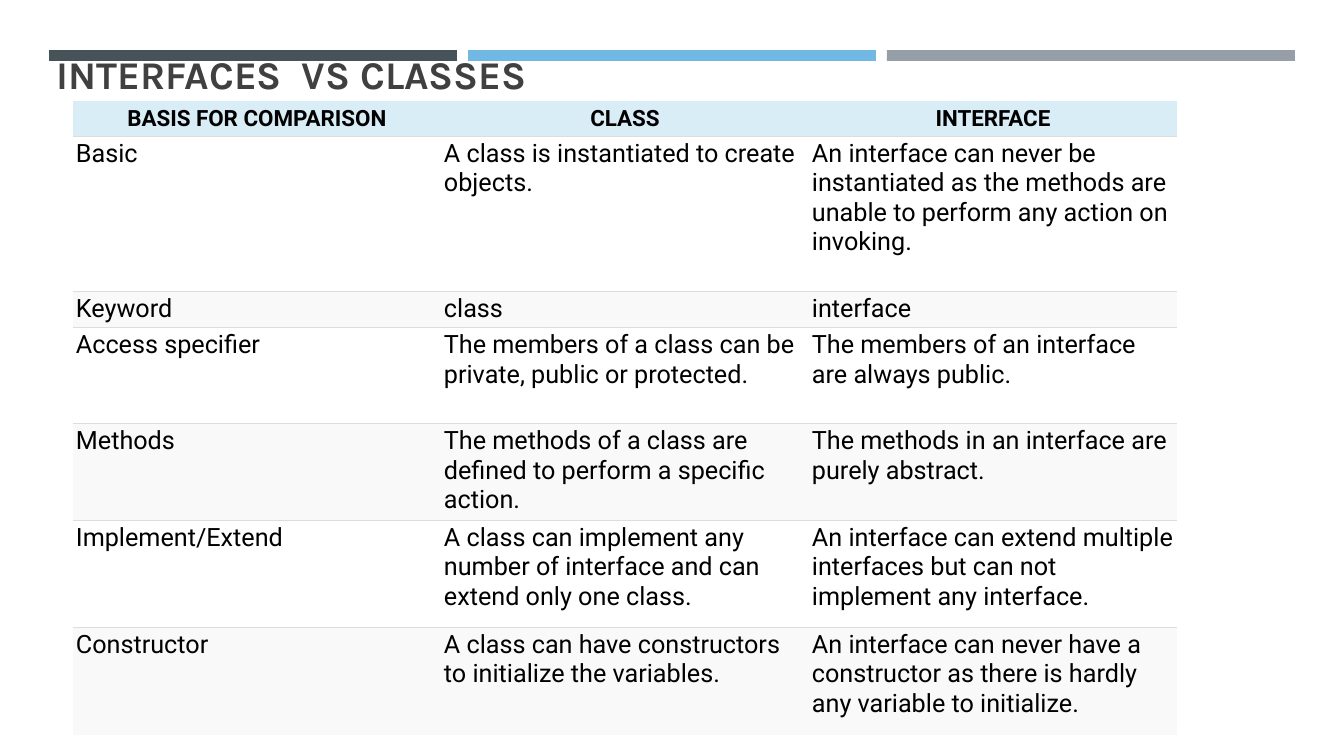
from lxml.etree import SubElement
from pptx import Presentation
from pptx.dml.color import RGBColor
from pptx.enum.shapes import MSO_SHAPE as Shape
from pptx.enum.text import MSO_ANCHOR as Anchor, PP_ALIGN as Align
from pptx.oxml.ns import qn
from pptx.util import Pt

PX = 9071.43
COLORS = {
    "slate": "465359", "sky": "71B9E4", "gray": "969FA7",
    "title": "404040", "text": "000000", "header": "D9EDF7",
    "white": "FFFFFF", "band": "F9F9F9", "rule": "DDDDDD",
}
ROWS = [
    (35, ["BASIS FOR COMPARISON", "CLASS", "INTERFACE"]),
    (155, ["Basic", "A class is instantiated to create objects.",
           "An interface can never be instantiated as the methods are unable to perform any action on invoking."]),
    (36, ["Keyword", "class", "interface"]),
    (96, ["Access specifier", "The members of a class can be private, public or protected.",
          "The members of an interface are always public."]),
    (95, ["Methods", "The methods of a class are defined to perform a specific action.",
          "The methods in an interface are purely abstract."]),
    (107, ["Implement/Extend", "A class can implement any number of interface and can extend only one class.",
           "An interface can extend multiple interfaces but can not implement any interface."]),
    (108, ["Constructor", "A class can have constructors to initialize the variables.",
           "An interface can never have a constructor as there is hardly any variable to initialize."]),
]


def px(*lengths):
    return [round(length * PX) for length in lengths]


def set_font(paragraph, name, size, color, bold):
    font = paragraph.font
    font.name, font.size, font.bold = name, Pt(size), bold
    font.color.rgb = RGBColor.from_string(COLORS[color])


presentation = Presentation()
presentation.slide_width, presentation.slide_height = px(1344, 756)
slide = presentation.slides.add_slide(presentation.slide_layouts[6])

for index, color in enumerate(["slate", "sky", "gray"]):
    bar = slide.shapes.add_shape(Shape.RECTANGLE, *px(49 + 419 * index, 50, 408, 11))
    bar.shadow.inherit = False
    bar.fill.solid()
    bar.fill.fore_color.rgb = RGBColor.from_string(COLORS[color])
    bar.line.fill.background()

title = slide.shapes.add_textbox(*px(47, 8, 1172, 94))
title.text_frame.word_wrap = True
title.text_frame.vertical_anchor = Anchor.BOTTOM
paragraph = title.text_frame.paragraphs[0]
paragraph.text = "INTERFACES  VS CLASSES"
set_font(paragraph, "Karla", 28, "title", True)

height = sum(row_height for row_height, _ in ROWS)
table = slide.shapes.add_table(len(ROWS), 3, *px(73, 101, 1104, height)).table
table.first_row = table.horz_banding = False
for column in table.columns:
    column.width = px(368)[0]

for row, (row_height, texts) in enumerate(ROWS):
    table.rows[row].height = px(row_height)[0]
    header = row == 0
    ruled_sides = {"lnT": row > 0, "lnB": row < len(ROWS) - 1}
    for column, text in enumerate(texts):
        cell = table.cell(row, column)
        cell.margin_left, cell.margin_right, cell.margin_top, cell.margin_bottom = px(3, 3, 3, 3)
        cell.vertical_anchor = Anchor.MIDDLE if header else Anchor.TOP
        properties = cell._tc.get_or_add_tcPr()
        for side in ["lnL", "lnR", "lnT", "lnB"]:
            border = SubElement(properties, qn(f"a:{side}"), w=str(Pt(0.6)))
            if ruled_sides.get(side):
                fill = SubElement(border, qn("a:solidFill"))
                SubElement(fill, qn("a:srgbClr"), val=COLORS["rule"])
            else:
                SubElement(border, qn("a:noFill"))
        cell.fill.solid()
        fill_color = "header" if header else "white" if row % 2 else "band"
        cell.fill.fore_color.rgb = RGBColor.from_string(COLORS[fill_color])
        paragraph = cell.text_frame.paragraphs[0]
        paragraph.text = text
        paragraph.alignment = Align.CENTER if header else Align.LEFT
        set_font(paragraph, "Roboto", 16 if header else 18, "text", header)

presentation.save("out.pptx")
